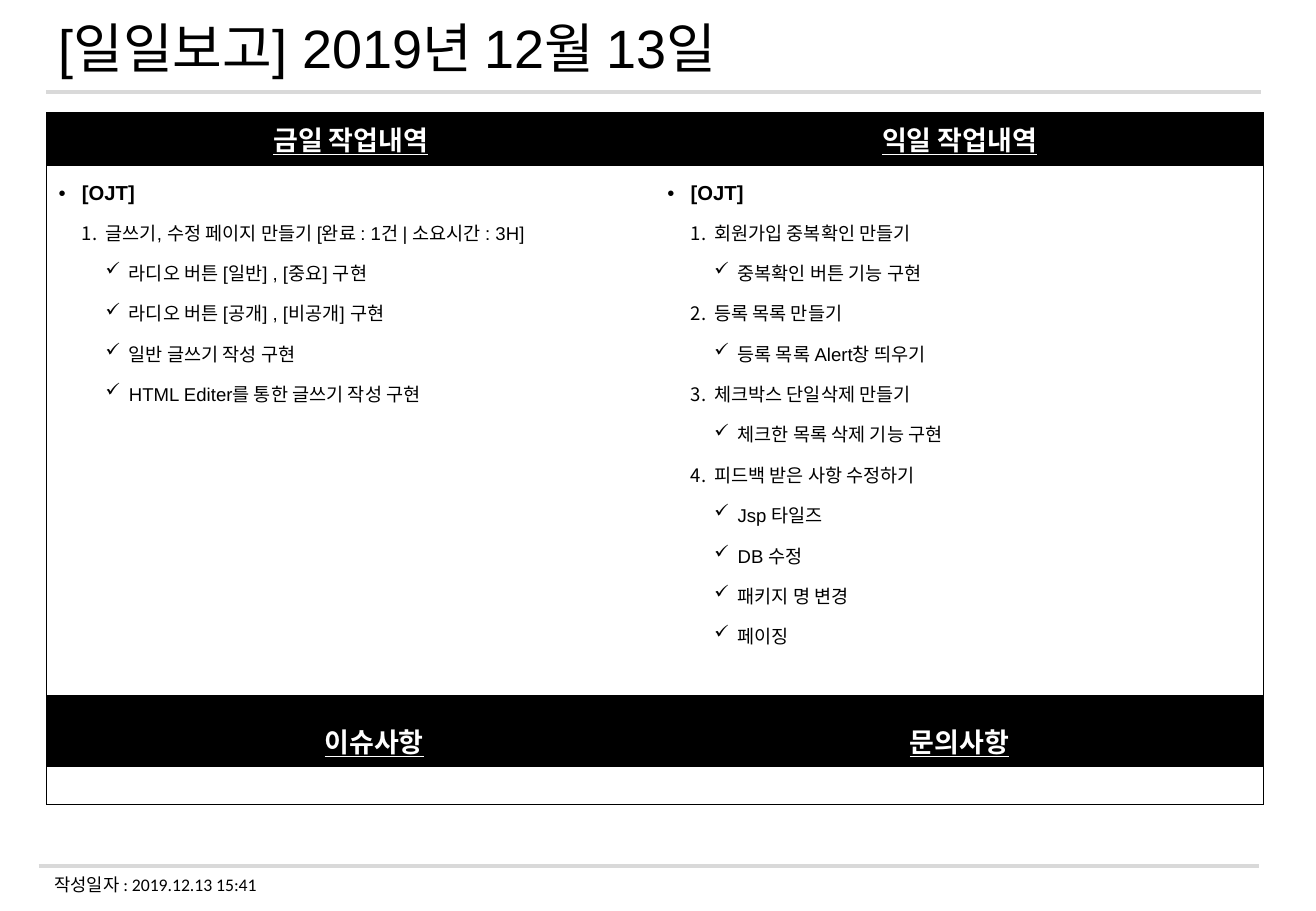
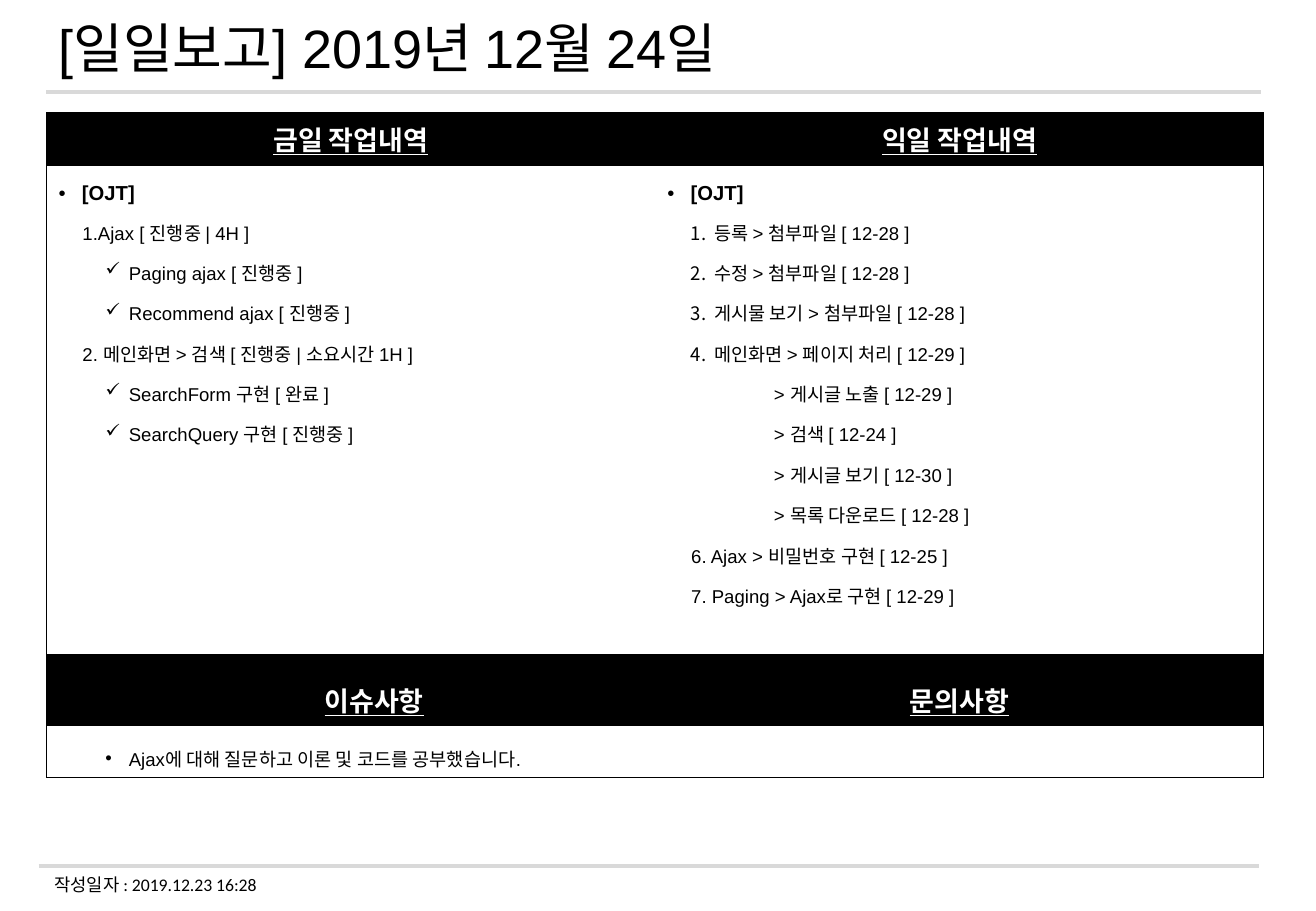
from pptx import Presentation
from pptx.dml.color import RGBColor
from pptx.enum.shapes import MSO_CONNECTOR as Link
from pptx.enum.text import MSO_ANCHOR as Anchor, MSO_AUTO_SIZE as Fit, PP_ALIGN as Align
from pptx.oxml.ns import qn
from pptx.util import Cm, Pt
from lxml.etree import SubElement

# Content: each line is (kind, text)
HEADS = [("금일 작업내역", "익일 작업내역"), ("이슈사항", "문의사항")]
DAYS = [
    {
        "title": "[일일보고] 2019년 12월 13일",
        "stamp": "작성일자 : 2019.12.13 15:41",
        "rows": [1.09, 11.1, 1.47, 0.8],
        "work": (
            [("dot", "[OJT]"),
             ("num", "글쓰기, 수정 페이지 만들기 [완료 : 1건 | 소요시간 : 3H]"),
             ("check", "라디오 버튼 [일반] , [중요] 구현"),
             ("check", "라디오 버튼 [공개] , [비공개] 구현"),
             ("check", "일반 글쓰기 작성 구현"),
             ("check", "HTML Editer를 통한 글쓰기 작성 구현")],
            [("dot", "[OJT]"),
             ("num", "회원가입 중복확인 만들기"),
             ("check", "중복확인 버튼 기능 구현"),
             ("num", "등록 목록 만들기"),
             ("check", "등록 목록 Alert창 띄우기"),
             ("num", "체크박스 단일삭제 만들기"),
             ("check", "체크한 목록 삭제 기능 구현"),
             ("num", "피드백 받은 사항 수정하기"),
             ("check", "Jsp 타일즈"),
             ("check", "DB 수정"),
             ("check", "패키지 명 변경"),
             ("check", "페이징")],
        ),
        "notes": ([], []),
    },
    {
        "title": "[일일보고] 2019년 12월 24일",
        "stamp": "작성일자 : 2019.12.23 16:28",
        "rows": [1.09, 10.24, 1.47, 1.07],
        "work": (
            [("dot", "[OJT]"),
             ("plain", "1.Ajax [ 진행중 | 4H ]"),
             ("check", "Paging ajax [ 진행중 ]"),
             ("check", "Recommend ajax [ 진행중 ]"),
             ("plain", "2. 메인화면 > 검색 [ 진행중 | 소요시간 1H ]"),
             ("check", "SearchForm 구현 [ 완료 ]"),
             ("check", "SearchQuery 구현 [ 진행중 ]")],
            [("dot", "[OJT]"),
             ("num", "등록 > 첨부파일 [ 12-28 ]"),
             ("num", "수정 > 첨부파일 [ 12-28 ]"),
             ("num", "게시물 보기 > 첨부파일 [ 12-28 ]"),
             ("num", "메인화면 > 페이지 처리 [ 12-29 ]"),
             ("deep", "> 게시글 노출 [ 12-29 ]"),
             ("deep", "> 검색 [ 12-24 ]"),
             ("deep", "> 게시글 보기 [ 12-30 ]"),
             ("deep", "> 목록 다운로드 [ 12-28 ]"),
             ("plain", "6. Ajax > 비밀번호 구현 [ 12-25 ]"),
             ("plain", "7. Paging > Ajax로 구현 [ 12-29 ]")],
        ),
        "notes": ([("note", "Ajax에 대해 질문하고 이론 및 코드를 공부했습니다.")], []),
    },
]

# Shared style
BLACK, WHITE, GREY = "000000", "FFFFFF", "D9D9D9"
FONT = "Arial"
LEFT, WIDE = 0.97, 25.45
HANG = 0.49
RULES = [(0.97, 26.37, 1.93), (0.81, 26.31, 18.11)]  # x1, x2, y
# kind: level, left indent, hanging indent, bullet font, bullet tag, bullet attributes
DOT = ("Arial", "a:buChar", {"char": "•"})
TICK = ("Wingdings", "a:buChar", {"char": "ü"})
COUNT = ("+mj-lt", "a:buAutoNum", {"type": "arabicPeriod"})
KINDS = {
    "dot": (0, HANG, HANG, DOT),
    "num": (1, 2 * HANG, HANG, COUNT),
    "check": (2, 3 * HANG, HANG, TICK),
    "note": (2, 3 * HANG, HANG, DOT),
    "plain": (1, 0.5, 0, None),
    "deep": (1, 2.23, 0, None),
}


def color(code):
    return RGBColor.from_string(code)


def write(para, text, size, code=BLACK, font=FONT, bold=False, under=False):
    run = para.add_run()
    run.text = text
    face = run.font
    face.name, face.size, face.bold, face.underline = font, Pt(size), bold, under
    face.color.rgb = color(code)


def indent(para, left, hang=0):
    props = para._p.get_or_add_pPr()
    props.set("marL", str(Cm(left)))
    props.set("indent", str(-Cm(hang)))
    return props


def rule(slide, x1, x2, y):
    line = slide.shapes.add_connector(Link.STRAIGHT, Cm(x1), Cm(y), Cm(x2), Cm(y))
    line.line.color.rgb = color(GREY)
    line.line.width = Pt(2.25)
    SubElement(line._element.spPr, qn("a:effectLst"))


def edge(cell, side, code=None):
    line = SubElement(cell._tc.get_or_add_tcPr(), qn("a:ln" + side), w=str(Pt(0.5)))
    if code:
        fill = SubElement(line, qn("a:solidFill"))
        SubElement(fill, qn("a:srgbClr"), val=code)
    else:
        SubElement(line, qn("a:noFill"))


def frame(cell, col, dark):
    # Black outside and between rows, open between the two columns
    edge(cell, "L", BLACK if col == 0 else None)
    edge(cell, "R", BLACK if col == 1 else None)
    edge(cell, "T", BLACK)
    edge(cell, "B", BLACK)
    if dark:
        cell.fill.solid()
        cell.fill.fore_color.rgb = color(BLACK)
    else:
        cell.fill.background()


def head(cell, text, top, col):
    para = cell.text_frame.paragraphs[0]
    para.alignment = Align.CENTER
    if top:
        cell.vertical_anchor = Anchor.MIDDLE
    else:
        para.line_spacing = 1.5
        if col == 0:
            para.level = 2
            indent(para, 2 * HANG)
    write(para, text, 16, WHITE, bold=True, under=True)


def tasks(cell, lines):
    box = cell.text_frame
    if not lines:
        SubElement(box.paragraphs[0]._p, qn("a:endParaRPr"), sz="1100")
    for i, (kind, text) in enumerate(lines):
        para = box.add_paragraph() if i else box.paragraphs[0]
        level, left, hang, mark = KINDS[kind]
        para.level = level
        para.line_spacing = 1.5
        props = indent(para, left, hang)
        if mark:
            face, tag, attrs = mark
            SubElement(props, qn("a:buFont"), typeface=face)
            SubElement(props, qn(tag), **attrs)
        else:
            SubElement(props, qn("a:buNone"))
        top = kind == "dot"
        write(para, text, 12 if top else 11, bold=top)


def report(deck, day):
    slide = deck.slides.add_slide(deck.slide_layouts[5])
    for x1, x2, y in RULES:
        rule(slide, x1, x2, y)

    # Title
    title = slide.shapes.title
    title.left, title.top, title.width, title.height = Cm(LEFT), Cm(0.41), Cm(WIDE), Cm(1.32)
    box = title.text_frame
    box.auto_size, box.word_wrap, box.vertical_anchor = Fit.NONE, True, Anchor.MIDDLE
    para = box.paragraphs[0]
    para.alignment, para.line_spacing = Align.LEFT, 0.9
    write(para, day["title"], 32)

    # Report table: head and body rows take turns
    rows = day["rows"]
    table = slide.shapes.add_table(4, 2, Cm(LEFT), Cm(2.36), Cm(WIDE), Cm(sum(rows))).table
    table.first_row = table.horz_banding = False
    for row, tall in zip(table.rows, rows):
        row.height = Cm(tall)
    bodies = [day["work"], day["notes"]]
    for r in range(4):
        part, body = divmod(r, 2)
        for c in range(2):
            cell = table.cell(r, c)
            frame(cell, c, not body)
            if body:
                tasks(cell, bodies[part][c])
            else:
                head(cell, HEADS[part][c], part == 0, c)

    # Time stamp
    stamp = slide.shapes.add_textbox(Cm(0.89), Cm(18.14), Cm(4.95), Cm(0.71)).text_frame
    stamp.word_wrap, stamp.auto_size = False, Fit.SHAPE_TO_FIT_TEXT
    write(stamp.paragraphs[0], day["stamp"], 10.5, font="Calibri")


deck = Presentation()
deck.slide_width, deck.slide_height = Cm(27.51), Cm(19.05)
for day in DAYS:
    report(deck, day)
deck.save("out.pptx")
